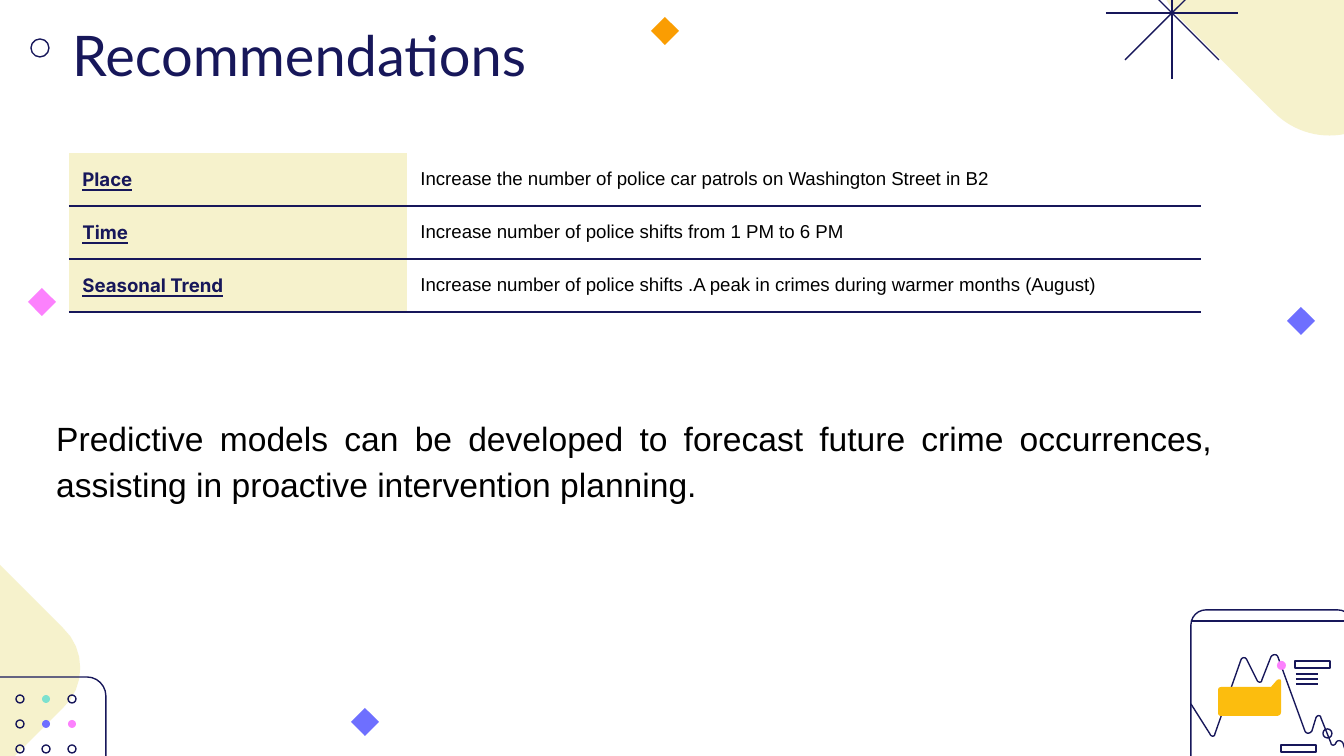
from lxml import etree
from pptx import Presentation
from pptx import util as u
from pptx.dml.color import RGBColor
from pptx.enum import shapes as s
from pptx.enum import text as t
from pptx.oxml import parse_xml
from pptx.oxml.ns import nsdecls, qn

WIDTH, HEIGHT = 1344, 756
SCALE = u.Inches(10) / WIDTH
COLORS = {
    "navy": "17175A", "cream": "F6F2CC", "pink": "FC81FD", "violet": "6E6FFF",
    "orange": "FA9D02", "amber": "FCBD0E", "mint": "7CE1CF", "black": "000000",
}
LINE_WIDTH = u.Pt(0.75)
NO_STYLE = "{2D5ABB26-0587-4C30-8999-92F81FD0307C}"

RECOMMENDATIONS = [
    ("Place", "Increase the number of police car patrols on Washington Street in B2"),
    ("Time", "Increase number of police shifts from 1 PM to 6 PM"),
    ("Seasonal Trend", "Increase number of police shifts .A peak in crimes during "
                       "warmer months (August)"),
]
OUTLOOK = ("Predictive models can be developed to forecast future crime occurrences, "
           "assisting in proactive intervention planning.")

# Path steps: two numbers are a corner, six are a cubic curve.
CORNER_BLOB = [
    (-27, 544), (-19, 547, -12, 551, -7, 558), (63, 628),
    (86, 649, 86, 687, 63, 708), (-7, 778), (-12, 785, -19, 789, -27, 792),
]
TREND = [
    (1191, 704), (1210, 734), (1211, 737, 1215, 737, 1215, 734), (1241, 660),
    (1242, 657, 1246, 657, 1247, 660), (1257, 680),
    (1258, 683, 1262, 683, 1262, 680), (1271, 657),
    (1273, 654, 1277, 654, 1278, 657), (1305, 731),
    (1306, 734, 1310, 734, 1312, 731), (1316, 718),
    (1317, 715, 1321, 715, 1321, 718), (1331, 743),
    (1331, 746, 1335, 746, 1336, 743), (1337, 740, 1341, 740, 1343, 743),
    (1353, 774),
]
CALLOUT = [
    (1277, 680), (1271, 687), (1222, 687), (1219, 687, 1218, 688, 1218, 691),
    (1218, 712), (1218, 715, 1219, 716, 1222, 716), (1275, 716),
    (1279, 716, 1281, 715, 1281, 712), (1281, 681),
    (1281, 679, 1279, 679, 1277, 680),
]


def px(value):
    return u.Emu(round(value * SCALE))


def color(name):
    return RGBColor.from_string(COLORS[name])


def paint(shape, fill=None):
    """Fill the shape, or outline it in navy when no fill is given."""
    shape.shadow.inherit = False
    if fill:
        shape.fill.solid()
        shape.fill.fore_color.rgb = color(fill)
        shape.line.fill.background()
    else:
        shape.fill.background()
        shape.line.color.rgb = color("navy")
        shape.line.width = LINE_WIDTH


def add_preset(shapes, kind, left, top, width, height, fill=None, radius=None):
    shape = shapes.add_shape(kind, px(left), px(top), px(width), px(height))
    if radius is not None:
        shape.adjustments[0] = radius / min(width, height)
    paint(shape, fill)
    return shape


def add_line(shapes, x1, y1, x2, y2):
    line = shapes.add_connector(s.MSO_CONNECTOR.STRAIGHT, px(x1), px(y1), px(x2), px(y2))
    line.line.color.rgb = color("navy")
    line.line.width = LINE_WIDTH
    etree.SubElement(line._element.spPr, qn("a:effectLst"))


def add_path(shapes, steps, fill=None, close=True, pieces=8):
    """Draw the steps as a freeform, with each curve cut into short segments."""
    points = [steps[0]]
    for step in steps[1:]:
        if len(step) == 2:
            points.append(step)
            continue
        curve = [points[-1], step[:2], step[2:4], step[4:]]
        for i in range(1, pieces + 1):
            k = i / pieces
            weights = ((1 - k) ** 3, 3 * k * (1 - k) ** 2, 3 * k * k * (1 - k), k ** 3)
            points.append(tuple(sum(w * point[axis] for w, point in zip(weights, curve))
                                for axis in (0, 1)))
    points = [(px(x), px(y)) for x, y in points]
    builder = shapes.build_freeform(*points[0], scale=1.0)
    builder.add_line_segments(points[1:], close=close)
    paint(builder.convert_to_shape(), fill)


def style_run(paragraph, font_name, size, color_name, strong=False):
    """Format the paragraph's run; strong means bold and underlined."""
    font = paragraph.runs[0].font
    font.name, font.size = font_name, u.Pt(size)
    font.bold = font.underline = strong
    font.color.rgb = color(color_name)


def add_text(shapes, content, left, top, width, height, font_name, size, color_name):
    frame = shapes.add_textbox(px(left), px(top), px(width), px(height)).text_frame
    frame.word_wrap = True
    frame.text = content
    style_run(frame.paragraphs[0], font_name, size, color_name)
    return frame


def fill_cell(cell, content, is_label):
    cell.text = content
    cell.vertical_anchor = t.MSO_ANCHOR.MIDDLE
    cell.margin_left = cell.margin_right = u.Inches(0.1)
    cell.margin_top = cell.margin_bottom = 0
    if is_label:
        cell.fill.solid()
        cell.fill.fore_color.rgb = color("cream")
        style_run(cell.text_frame.paragraphs[0], "Inter", 10, "navy", strong=True)
    else:
        cell.fill.background()
        style_run(cell.text_frame.paragraphs[0], "Arial", 10, "black")
    border = parse_xml(
        f'<a:lnB {nsdecls("a")} w="{LINE_WIDTH}"><a:solidFill>'
        f'<a:srgbClr val="{COLORS["navy"]}"/></a:solidFill></a:lnB>')
    cell._tc.get_or_add_tcPr().insert(0, border)


def add_recommendations(shapes):
    widths, row_height = (338, 794), 53
    rows = len(RECOMMENDATIONS)
    table = shapes.add_table(rows, 2, px(69), px(153), px(sum(widths)),
                             px(rows * row_height)).table
    table.first_row = table.horz_banding = False
    table._tbl.tblPr.find(qn("a:tableStyleId")).text = NO_STYLE
    for column, width in zip(table.columns, widths):
        column.width = px(width)
    for row, contents in zip(table.rows, RECOMMENDATIONS):
        row.height = px(row_height)
        for index, content in enumerate(contents):
            fill_cell(row.cells[index], content, is_label=index == 0)


def add_star(shapes, x, y):
    for dx, dy in ((0, 66), (66, 0), (47, -47), (47, 47)):
        add_line(shapes, x - dx, y - dy, x + dx, y + dy)


def add_background(shapes):
    blob = add_preset(shapes, s.MSO_SHAPE.ROUNDED_RECTANGLE, 1185, -181, 289, 289,
                      "cream", radius=78)
    blob.rotation = 45
    add_path(shapes, CORNER_BLOB, "cream")
    add_star(shapes.add_group_shape().shapes, 1172, 13)
    for x, y, fill in ((42, 302, "pink"), (365, 722, "violet"),
                       (665, 31, "orange"), (1301, 321, "violet")):
        add_preset(shapes, s.MSO_SHAPE.DIAMOND, x - 14, y - 14, 28, 28, fill)
    add_preset(shapes, s.MSO_SHAPE.OVAL, 31, 39, 18, 18)


def add_chart_window(shapes):
    for left, top in ((1295, 661), (1281, 745)):
        add_preset(shapes, s.MSO_SHAPE.RECTANGLE, left, top, 35, 7)
    for y in (674, 679, 684):
        add_line(shapes, 1296, y, 1318, y)
    add_preset(shapes, s.MSO_SHAPE.ROUNDED_RECTANGLE, 1191, 610, 162, 182, radius=15)
    add_path(shapes, TREND, close=False)
    add_preset(shapes, s.MSO_SHAPE.OVAL, 1277, 661, 9, 9, "pink")
    add_preset(shapes, s.MSO_SHAPE.OVAL, 1323, 729, 9, 9)
    add_path(shapes, CALLOUT, "amber")
    add_line(shapes, 1191, 621, 1353, 621)


def add_dot_panel(shapes):
    add_preset(shapes, s.MSO_SHAPE.ROUNDED_RECTANGLE, -39, 677, 145, 121, radius=19)
    fills = ((None, "mint", None), (None, "violet", "pink"), (None, None, None))
    for row, row_fills in enumerate(fills):
        for column, fill in enumerate(row_fills):
            add_preset(shapes, s.MSO_SHAPE.OVAL, 16 + 26 * column, 695 + 25 * row,
                       8, 8, fill)


def main():
    presentation = Presentation()
    presentation.slide_width, presentation.slide_height = px(WIDTH), px(HEIGHT)
    shapes = presentation.slides.add_slide(presentation.slide_layouts[6]).shapes
    add_background(shapes)
    title = add_text(shapes, "Recommendations", 59, 7, 1133, 85, "Lato", 30, "navy")
    title.margin_left = title.margin_right = u.Inches(0.1)
    title.margin_top = title.margin_bottom = u.Inches(0.1)
    add_recommendations(shapes)
    add_chart_window(shapes.add_group_shape().shapes)
    add_dot_panel(shapes.add_group_shape().shapes)
    outlook = add_text(shapes, OUTLOOK, 43, 405, 1183, 103, "Arial", 18, "black")
    paragraph = outlook.paragraphs[0]
    paragraph.alignment = t.PP_ALIGN.JUSTIFY
    paragraph.line_spacing = 1.15
    paragraph.space_after = u.Pt(8)
    presentation.save("out.pptx")


if __name__ == "__main__":
    main()
